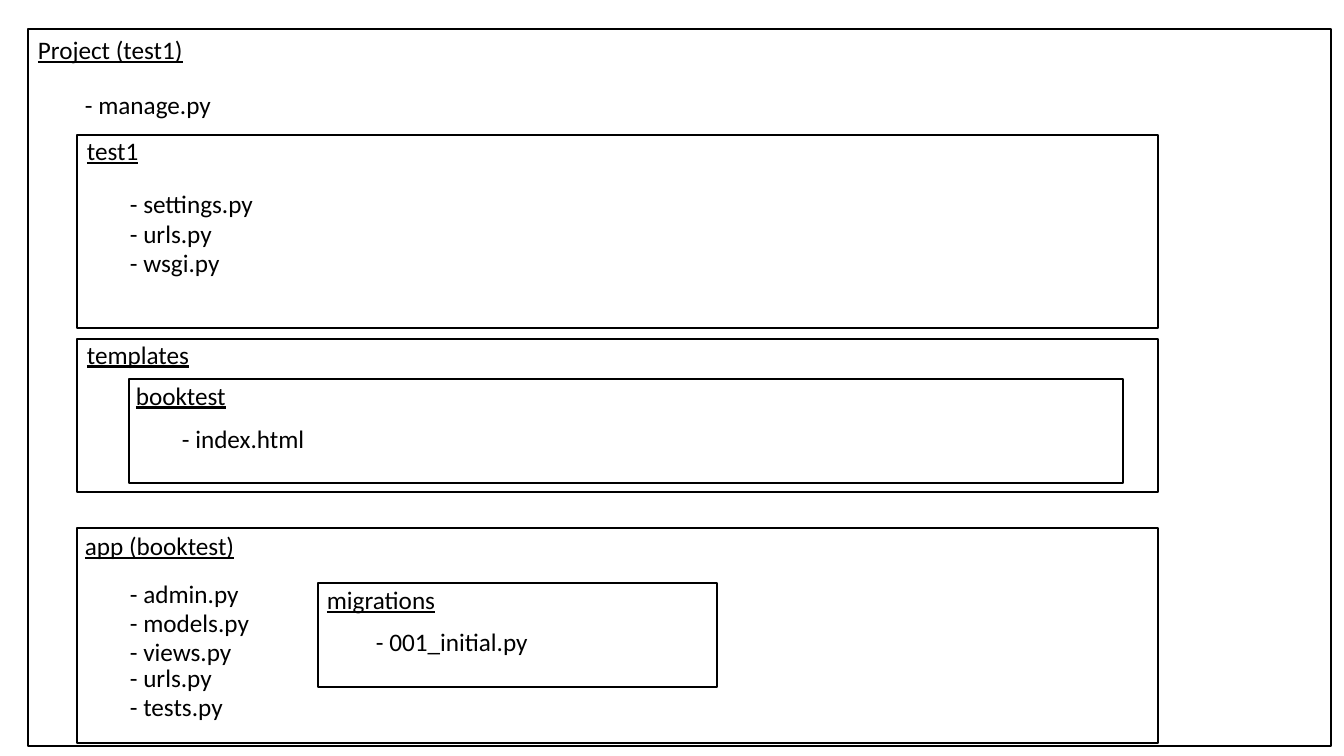
from pptx import Presentation
from pptx import util as u
from pptx.dml.color import RGBColor
from pptx.enum import shapes, text

SCALE = 914400 / 100.8
BLACK = "000000"


def px(*values):
    return [u.Emu(round(v * SCALE)) for v in values]


def rgb(value):
    return RGBColor.from_string(value)


prs = Presentation()
prs.slide_width, prs.slide_height = px(1344, 756)
s = prs.slides.add_slide(prs.slide_layouts[6])

# Folders: name, box, title corner, left of the files, files with their tops
folders = [
    ("Project (test1)", (28, 29, 1303, 717), (28, 29), 75, [("manage.py", 84)]),
    ("test1", (77, 135, 1081, 193), (77, 130), 120,
     [("settings.py", 183), ("urls.py", 213), ("wsgi.py", 242)]),
    ("templates", (77, 339, 1081, 153), (77, 334), 0, []),
    ("booktest", (129, 379, 994, 104), (126, 375), 172, [("index.html", 418)]),
    ("app (booktest)", (77, 528, 1081, 215), (75, 525), 120,
     [("admin.py", 573), ("models.py", 602), ("views.py", 631),
      ("urls.py", 657), ("tests.py", 686)]),
    ("migrations", (318, 583, 399, 104), (317, 579), 366, [("001_initial.py", 621)]),
]

for name, box, (title_x, title_y), file_x, files in folders:
    # Folder outline
    sp = s.shapes.add_shape(shapes.MSO_SHAPE.RECTANGLE, *px(*box))
    sp.shadow.inherit = False
    sp.fill.background()
    sp.line.color.rgb = rgb(BLACK)
    sp.line.width = u.Pt(1)

    # Underlined folder name, then its files
    labels = [(name, title_x, title_y, True)]
    labels += [(f"- {file}", file_x, y, False) for file, y in files]
    for label, x, y, underline in labels:
        tf = s.shapes.add_textbox(*px(x, y, 190, 40)).text_frame
        tf.word_wrap = True
        tf.auto_size = text.MSO_AUTO_SIZE.SHAPE_TO_FIT_TEXT
        r = tf.paragraphs[0].add_run()
        r.text = label
        r.font.name = "Calibri"
        r.font.size = u.Pt(18)
        r.font.color.rgb = rgb(BLACK)
        if underline:
            r.font.underline = True

prs.save("out.pptx")
